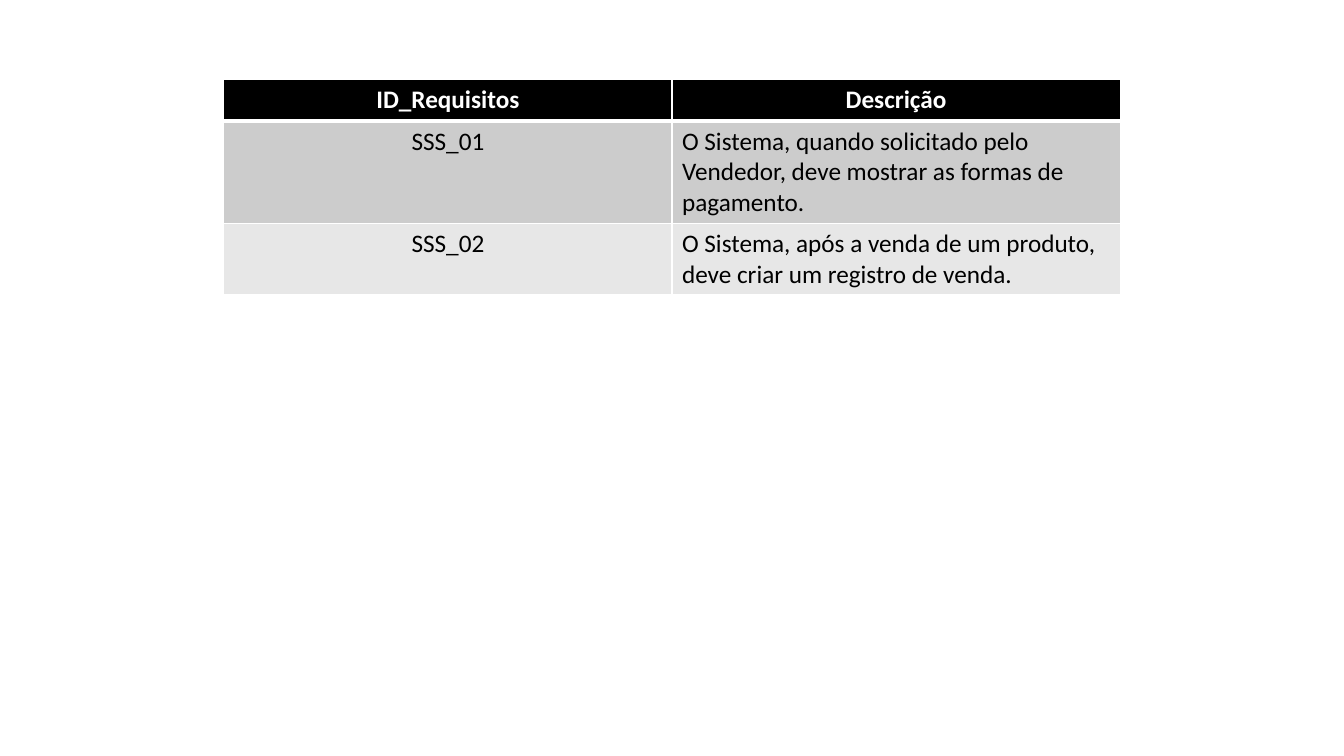
import pptx
import pptx.dml.color
import pptx.enum.text
import pptx.oxml.ns
import pptx.util
from lxml import etree
from pptx.util import Inches

COLORS = {
    "header": "000000",
    "odd_row": "CCCCCC",
    "even_row": "E7E7E7",
    "border": "FFFFFF",
    "header_text": "FFFFFF",
    "body_text": "000000",
}
REQUIREMENTS = [
    ("ID_Requisitos", "Descrição"),
    ("SSS_01", "O Sistema, quando solicitado pelo Vendedor, deve mostrar as formas de pagamento."),
    ("SSS_02", "O Sistema, após a venda de um produto, deve criar um registro de venda."),
]
ROW_HEIGHTS = (0.41, 1.0, 0.7)


def rgb(name):
    """Return the named colour."""
    return pptx.dml.color.RGBColor.from_string(COLORS[name])


class SlideBuilder:
    """Hold the style and the current slide."""

    font = "Calibri"
    size = pptx.util.Pt(18)
    thin, thick = pptx.util.Pt(1), pptx.util.Pt(3)

    def __init__(self, slide):
        """Keep the slide to draw on."""
        self.slide = slide

    def add_text(self, cell, text, color, bold, centered):
        """Write one run in a cell."""
        paragraph = cell.text_frame.paragraphs[0]
        alignment = pptx.enum.text.PP_ALIGN
        paragraph.alignment = alignment.CENTER if centered else alignment.LEFT
        run = paragraph.add_run()
        run.text = text
        run.font.name = self.font
        run.font.size = self.size
        run.font.bold = bold
        run.font.color.rgb = rgb(color)

    def add_borders(self, cell, top, bottom):
        """Draw the four cell borders, with the given top and bottom widths."""
        properties = cell._tc.get_or_add_tcPr()
        widths = {"L": self.thin, "R": self.thin, "T": top, "B": bottom}
        for side, width in widths.items():
            line = etree.SubElement(properties, pptx.oxml.ns.qn(f"a:ln{side}"), w=str(width))
            fill = etree.SubElement(line, pptx.oxml.ns.qn("a:solidFill"))
            etree.SubElement(fill, pptx.oxml.ns.qn("a:srgbClr"), val=COLORS["border"])

    def add_table(self, rows, left, top, width, heights):
        """Add a table with a header row and banded body rows."""
        shape = self.slide.shapes.add_table(
            len(rows), len(rows[0]), Inches(left), Inches(top),
            Inches(width), Inches(sum(heights)))
        table = shape.table
        for row_index, texts in enumerate(rows):
            table.rows[row_index].height = Inches(heights[row_index])
            is_header = row_index == 0
            band = "header" if is_header else "odd_row" if row_index % 2 else "even_row"
            for column_index, text in enumerate(texts):
                cell = table.cell(row_index, column_index)
                self.add_borders(
                    cell,
                    top=self.thick if row_index == 1 else self.thin,
                    bottom=self.thick if is_header else self.thin)
                cell.fill.solid()
                cell.fill.fore_color.rgb = rgb(band)
                self.add_text(
                    cell, text, "header_text" if is_header else "body_text",
                    bold=is_header, centered=is_header or column_index == 0)


def main():
    """Build and save the requirements slide."""
    presentation = pptx.Presentation()
    presentation.slide_width = Inches(13.33)
    presentation.slide_height = Inches(7.5)
    slide = presentation.slides.add_slide(presentation.slide_layouts[6])
    builder = SlideBuilder(slide)
    builder.add_table(REQUIREMENTS, 2.22, 0.79, 8.89, ROW_HEIGHTS)
    presentation.save("out.pptx")


main()
